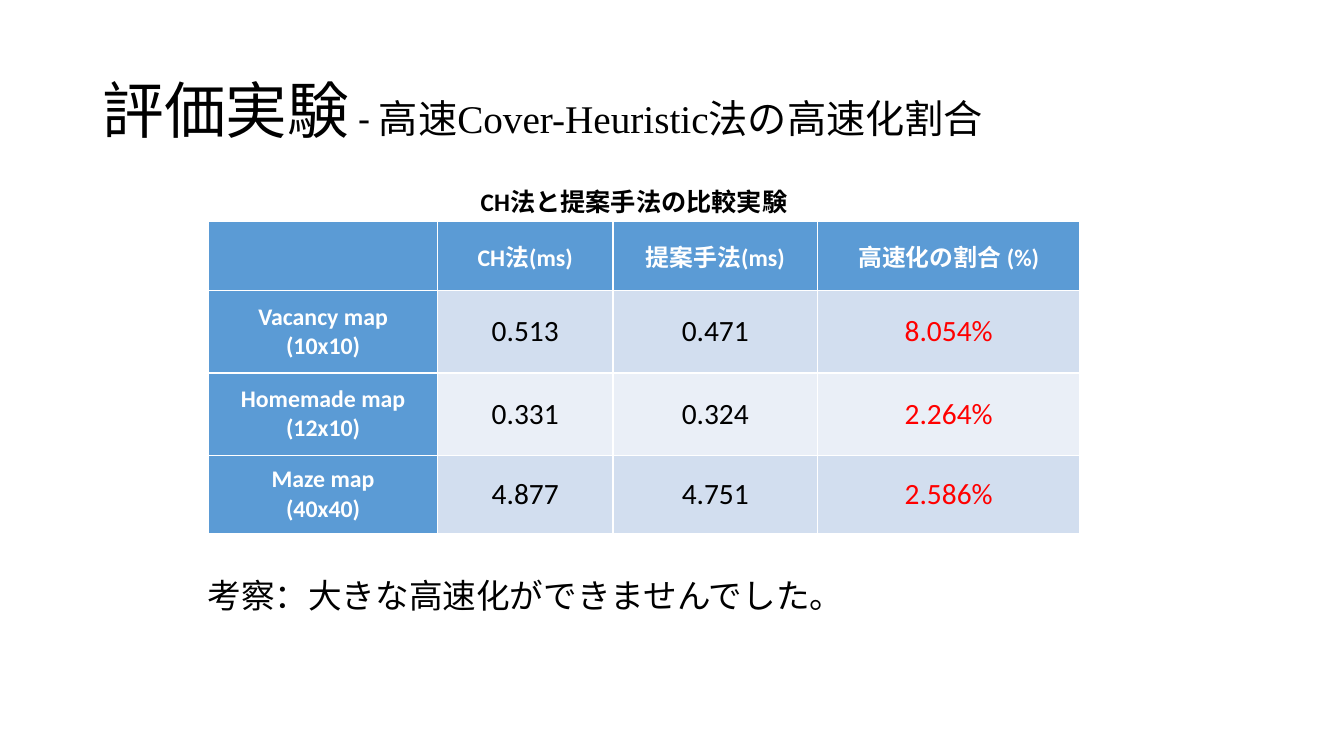
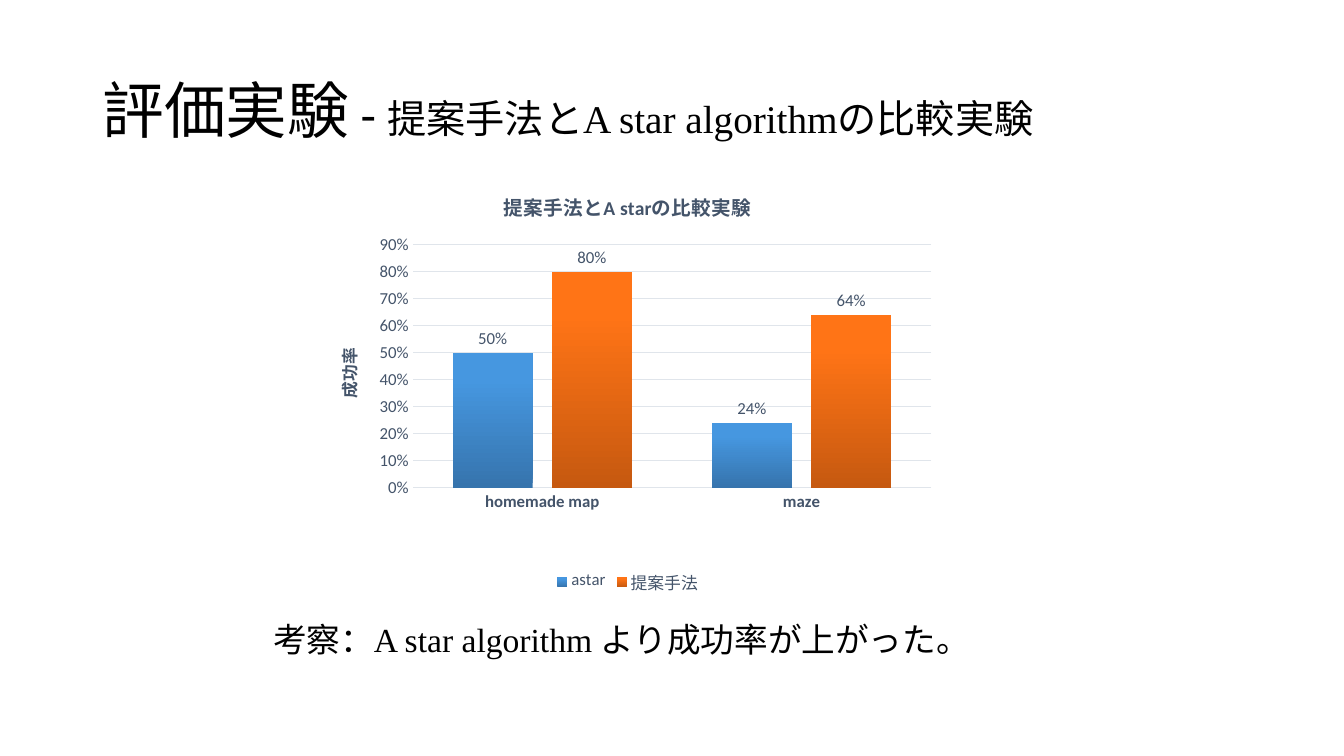
from dataclasses import dataclass

from lxml.etree import Element
from pptx import Presentation
from pptx.chart.chart import Chart
from pptx.chart.data import CategoryChartData
from pptx.dml.color import RGBColor
from pptx.enum.chart import XL_CHART_TYPE, XL_LABEL_POSITION, XL_LEGEND_POSITION, XL_TICK_MARK
from pptx.enum.text import MSO_ANCHOR, PP_ALIGN
from pptx.oxml import parse_xml
from pptx.oxml.ns import nsdecls, qn
from pptx.slide import Slide
from pptx.text.text import Font
from pptx.util import Inches, Pt


@dataclass(frozen=True)
class Theme:
    sans: str = "Calibri"
    serif: str = "Times New Roman"
    east_asian: str = "Noto Sans CJK JP"
    black: str = "000000"
    white: str = "FFFFFF"
    red: str = "FF0000"
    header: str = "5B9BD5"
    bands: tuple[str, str] = ("D2DEEF", "EAEFF7")
    chart_text: str = "44546A"
    grid: str = "E0E5EB"
    title_size: int = 44
    subtitle_size: int = 28
    remark_size: int = 24
    caption_size: int = 18
    header_size: int = 17
    value_size: int = 21
    chart_title_size: int = 14
    chart_size: int = 12


THEME = Theme()


@dataclass(frozen=True)
class TextRun:
    text: str
    size: int
    font: str = THEME.sans
    bold: bool = False


@dataclass(frozen=True)
class Box:
    left: float
    top: float
    width: float
    height: float

    def emu(self) -> tuple[int, ...]:
        return tuple(Inches(v) for v in (self.left, self.top, self.width, self.height))


@dataclass(frozen=True)
class BarSeries:
    name: str
    values: tuple[float, ...]
    dark: str
    bright: str


TITLE_BOX = Box(0.92, 0.4, 11.5, 1.45)
COLUMN_WIDTHS = (2.27, 1.74, 2.03, 2.6)
ROW_HEIGHTS = (0.68, 0.82, 0.82, 0.77)
RESULTS = (
    ("", "CH法(ms)", "提案手法(ms)", "高速化の割合 (%)"),
    ("Vacancy map\n(10x10)", "0.513", "0.471", "8.054%"),
    ("Homemade map\n(12x10)", "0.331", "0.324", "2.264%"),
    ("Maze map\n(40x40)", "4.877", "4.751", "2.586%"),
)
MAPS = ("homemade map", "maze")
SUCCESS_RATES = (
    BarSeries("astar", (0.5, 0.24), "3674AD", "4697E0"),
    BarSeries("提案手法", (0.8, 0.64), "C65910", "FF7416"),
)


def rgb(color: str) -> RGBColor:
    return RGBColor.from_string(color)


def style_font(font: Font, size: int, color: str, name: str = THEME.sans,
               bold: bool = False) -> None:
    font.size = Pt(size)
    font.name = name
    font.bold = bold
    font.color.rgb = rgb(color)


def set_east_asian_font(element: Element) -> None:
    """Pair every Latin typeface below the element with the Japanese one."""
    for latin in list(element.iter(qn("a:latin"))):
        latin.addnext(parse_xml(f'<a:ea {nsdecls("a")} typeface="{THEME.east_asian}"/>'))


def add_text(s: Slide, box: Box, runs: list[TextRun], wrap: bool = False,
             anchor: MSO_ANCHOR = MSO_ANCHOR.TOP, line_spacing: float = 1.0) -> None:
    tf = s.shapes.add_textbox(*box.emu()).text_frame
    tf.word_wrap = wrap
    tf.vertical_anchor = anchor
    p = tf.paragraphs[0]
    p.line_spacing = line_spacing
    for run in runs:
        r = p.add_run()
        r.text = run.text
        style_font(r.font, run.size, THEME.black, run.font, run.bold)


def add_title(s: Slide, subtitle: str, dash_size: int) -> None:
    runs = [
        TextRun("評価実験", THEME.title_size),
        TextRun(" - ", dash_size),
        TextRun(subtitle, THEME.subtitle_size, THEME.serif),
    ]
    add_text(s, TITLE_BOX, runs, True, MSO_ANCHOR.MIDDLE, 0.9)


def add_remark(s: Slide, box: Box, text: str) -> None:
    add_text(s, box, [TextRun(text, THEME.remark_size, THEME.serif)])


def add_results_table(s: Slide) -> None:
    box = Box(2.07, 2.2, sum(COLUMN_WIDTHS), sum(ROW_HEIGHTS))
    table = s.shapes.add_table(len(ROW_HEIGHTS), len(COLUMN_WIDTHS), *box.emu()).table
    table.first_col = True
    for column, width in zip(table.columns, COLUMN_WIDTHS):
        column.width = Inches(width)
    for i, (row, height) in enumerate(zip(table.rows, ROW_HEIGHTS)):
        row.height = Inches(height)
        for j, cell in enumerate(row.cells):
            is_header = i == 0 or j == 0
            if is_header:
                fill, color, size = THEME.header, THEME.white, THEME.header_size
            else:
                fill, size = THEME.bands[(i - 1) % 2], THEME.value_size
                color = THEME.red if j == len(COLUMN_WIDTHS) - 1 else THEME.black
            cell.fill.solid()
            cell.fill.fore_color.rgb = rgb(fill)
            cell.vertical_anchor = MSO_ANCHOR.MIDDLE
            cell.margin_left = cell.margin_right = Inches(0.11)
            cell.margin_top = cell.margin_bottom = 0
            cell.text_frame.text = RESULTS[i][j]
            for p in cell.text_frame.paragraphs:
                p.alignment = PP_ALIGN.CENTER
                for r in p.runs:
                    style_font(r.font, size, color, bold=is_header)


def set_plot_layout(chart: Chart, x: float, y: float, w: float, h: float) -> None:
    """Fix the inner plot area, in fractions of the chart."""
    plot_area = chart.element.find(".//" + qn("c:plotArea"))
    for old in plot_area.findall(qn("c:layout")):
        plot_area.remove(old)
    plot_area.insert(0, parse_xml(
        f'<c:layout {nsdecls("c")}><c:manualLayout><c:layoutTarget val="inner"/>'
        '<c:xMode val="edge"/><c:yMode val="edge"/>'
        f'<c:x val="{x}"/><c:y val="{y}"/><c:w val="{w}"/><c:h val="{h}"/>'
        '</c:manualLayout></c:layout>'))


def style_axes(chart: Chart) -> None:
    for axis in (chart.category_axis, chart.value_axis):
        axis.major_tick_mark = axis.minor_tick_mark = XL_TICK_MARK.NONE
        axis.format.line.fill.background()
        style_font(axis.tick_labels.font, THEME.chart_size, THEME.chart_text,
                   bold=axis is not chart.value_axis)
    style_font(chart.category_axis.tick_labels.font, THEME.chart_size, THEME.chart_text, bold=True)

    values = chart.value_axis
    style_font(values.tick_labels.font, THEME.chart_size, THEME.chart_text)
    values.minimum_scale, values.maximum_scale, values.major_unit = 0, 0.9, 0.1
    values.tick_labels.number_format = "0%"
    values.tick_labels.number_format_is_linked = False
    values.major_gridlines.format.line.color.rgb = rgb(THEME.grid)
    values.major_gridlines.format.line.width = Pt(0.75)
    tf = values.axis_title.text_frame
    tf.text = "成功率"
    style_font(tf.paragraphs[0].runs[0].font, THEME.chart_size, THEME.chart_text, bold=True)


def style_bars(chart: Chart) -> None:
    plot = chart.plots[0]
    plot.gap_width, plot.overlap = 100, -24
    plot.vary_by_categories = False
    for series, bar in zip(plot.series, SUCCESS_RATES):
        fill = series.format.fill
        fill.gradient()
        fill.gradient_angle = 90
        for stop, position, color in zip(fill.gradient_stops, (0, 0.8), (bar.dark, bar.bright)):
            stop.position = position
            stop.color.rgb = rgb(color)
        labels = series.data_labels
        labels.show_value = True
        labels.position = XL_LABEL_POSITION.OUTSIDE_END
        labels.number_format = "0%"
        labels.number_format_is_linked = False
        style_font(labels.font, THEME.chart_size, THEME.chart_text)


def add_success_chart(s: Slide) -> None:
    data = CategoryChartData(number_format="0%")
    data.categories = MAPS
    for bar in SUCCESS_RATES:
        data.add_series(bar.name, bar.values)
    box = Box(3.09, 1.71, 6.27, 4.23)
    chart = s.shapes.add_chart(XL_CHART_TYPE.COLUMN_CLUSTERED, *box.emu(), data).chart
    style_font(chart.font, THEME.chart_size, THEME.chart_text)
    tf = chart.chart_title.text_frame
    tf.text = "提案手法とA starの比較実験"
    style_font(tf.paragraphs[0].runs[0].font, THEME.chart_title_size, THEME.chart_text, bold=True)
    chart.has_legend = True
    chart.legend.position = XL_LEGEND_POSITION.BOTTOM
    chart.legend.include_in_layout = False
    style_font(chart.legend.font, THEME.chart_size, THEME.chart_text)
    style_axes(chart)
    style_bars(chart)
    set_plot_layout(chart, 0.16, 0.17, 0.82, 0.57)
    set_east_asian_font(chart.element)


def build_speedup_slide(s: Slide) -> None:
    add_title(s, "高速Cover-Heuristic法の高速化割合", THEME.subtitle_size)
    add_results_table(s)
    caption = TextRun("CH法と提案手法の比較実験", THEME.caption_size, bold=True)
    add_text(s, Box(4.67, 1.8, 3.43, 0.4), [caption], wrap=True)
    add_remark(s, Box(1.96, 5.65, 6.6, 0.5), "考察：大きな高速化ができませんでした。")


def build_success_slide(s: Slide) -> None:
    add_title(s, "提案手法とA star algorithmの比較実験", 36)
    add_remark(s, Box(2.61, 6.09, 7.18, 0.5), "考察：A star algorithm より成功率が上がった。")
    add_success_chart(s)


def main() -> None:
    prs = Presentation()
    prs.slide_width, prs.slide_height = Inches(13.33), Inches(7.5)
    for build in (build_speedup_slide, build_success_slide):
        s = prs.slides.add_slide(prs.slide_layouts[6])
        build(s)
        set_east_asian_font(s.element)
    prs.save("out.pptx")


if __name__ == "__main__":
    main()
